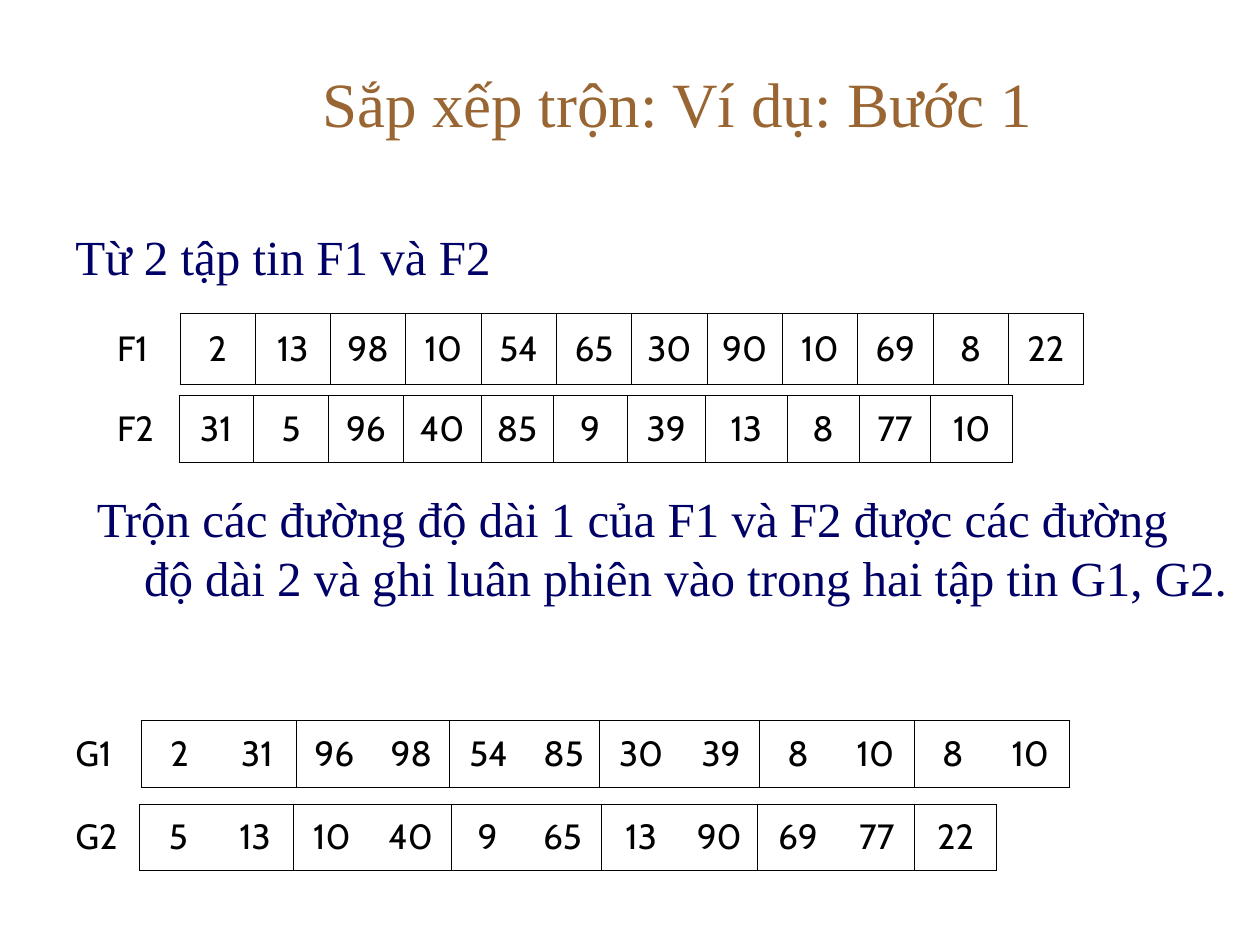
"""Build the slide on the first step of merge sort, with its four file tables."""
from lxml.etree import SubElement
from pptx import Presentation
from pptx.dml.color import RGBColor
from pptx.enum.text import MSO_ANCHOR, PP_ALIGN
from pptx.oxml.ns import qn
from pptx.util import Inches, Pt

BROWN = RGBColor(0x99, 0x66, 0x33)
NAVY = RGBColor(0x00, 0x00, 0x66)
BLACK = RGBColor(0x00, 0x00, 0x00)
BORDER_WIDTH = Pt(0.45)

presentation = Presentation()
presentation.slide_width = Inches(10)
presentation.slide_height = Inches(7.5)
COLUMN = presentation.slide_width // 100
ROW = presentation.slide_height // 75
slide = presentation.slides.add_slide(presentation.slide_layouts[6])


def format_paragraph(paragraph, alignment, size, typeface, color):
    paragraph.alignment = alignment
    for run in paragraph.runs:
        run.font.size = Pt(size)
        run.font.name = typeface
        run.font.color.rgb = color


def add_border(cell, side, visible):
    line = SubElement(cell._tc.get_or_add_tcPr(), qn(f"a:ln{side}"), w=str(BORDER_WIDTH))
    if visible:
        fill = SubElement(line, qn("a:solidFill"))
        SubElement(fill, qn("a:srgbClr"), val=str(BLACK))
    else:
        SubElement(line, qn("a:noFill"))


texts = [
    ("Sắp xếp trộn: Ví dụ: Bước 1", 12.5, 3, 82.5, 10.3,
     MSO_ANCHOR.MIDDLE, PP_ALIGN.CENTER, 36, BROWN, 0),
    ("Từ 2 tập tin F1 và F2", 5, 17.5, 91.7, 6.7,
     MSO_ANCHOR.TOP, PP_ALIGN.LEFT, 28, NAVY, 3.75),
    ("Trộn các đường độ dài 1 của F1 và F2 được các đường độ dài 2 "
     "và ghi luân phiên vào trong hai tập tin G1, G2.", 6.7, 38.3, 91.7, 13.3,
     MSO_ANCHOR.TOP, PP_ALIGN.LEFT, 28, NAVY, 3.75),
]
for text, left, top, width, height, anchor, alignment, size, color, indent in texts:
    shape = slide.shapes.add_textbox(
        int(left * COLUMN), int(top * ROW), int(width * COLUMN), int(height * ROW))
    text_frame = shape.text_frame
    text_frame.word_wrap = True
    text_frame.vertical_anchor = anchor
    text_frame.text = text
    paragraph = text_frame.paragraphs[0]
    format_paragraph(paragraph, alignment, size, "Times New Roman", color)
    if indent:
        properties = paragraph._p.get_or_add_pPr()
        properties.set("marL", str(int(indent * COLUMN)))
        properties.set("indent", str(int(-indent * COLUMN)))

files = [
    ("F1", [2, 13, 98, 10, 54, 65, 30, 90, 10, 69, 8, 22], 1,
     8.3, 24.9, 5.6, [5.98] * 13),
    ("F2", [31, 5, 96, 40, 85, 9, 39, 13, 8, 77, 10], 1,
     8.3, 31.4, 5.3, [5.9, 5.9, 6, 5.9, 6.2, 5.7, 5.9, 6.2, 6.5, 5.7, 5.7, 6.5]),
    ("G1", [2, 31, 96, 98, 54, 85, 30, 39, 8, 10, 8, 10], 2,
     5, 57.2, 5.3, [6.2, 6.1, 6.2, 6.1, 6.1, 6.2, 5.7, 6.6, 6.1, 6.1, 6.2, 6.1, 6.2]),
    ("G2", [5, 13, 10, 40, 9, 65, 13, 90, 69, 77, 22], 2,
     5, 63.8, 5.3, [6.1, 6.1, 6.1, 6.1, 6.4, 5.8, 6.1, 6.4, 6, 6.5, 6, 6.5]),
]
for label, values, run_length, left, top, height, widths in files:
    shape = slide.shapes.add_table(
        1, len(widths), int(left * COLUMN), int(top * ROW),
        int(sum(widths) * COLUMN), int(height * ROW))
    table = shape.table
    table.first_row = False
    table.horz_banding = False
    for index, (value, width) in enumerate(zip([label, *values], widths)):
        table.columns[index].width = int(width * COLUMN)
        cell = table.cell(0, index)
        cell.text_frame.text = str(value)
        cell.vertical_anchor = MSO_ANCHOR.MIDDLE
        is_value = index > 0
        format_paragraph(cell.text_frame.paragraphs[0],
                         PP_ALIGN.CENTER if is_value else PP_ALIGN.JUSTIFY,
                         20, "Cabin", BLACK)
        add_border(cell, "L", is_value and (index - 1) % run_length == 0)
        add_border(cell, "R", index % run_length == 0 or index == len(values))
        add_border(cell, "T", is_value)
        add_border(cell, "B", is_value)
        cell.fill.background()

presentation.save("out.pptx")
